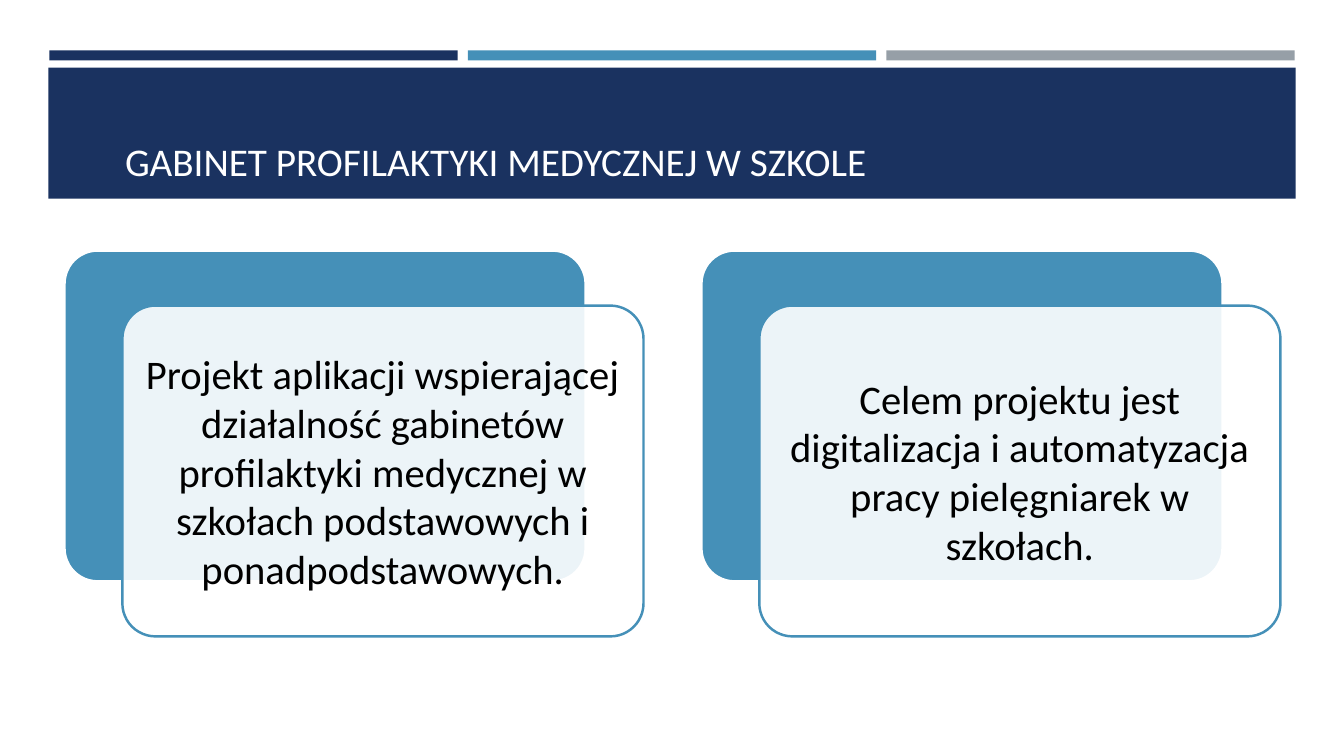
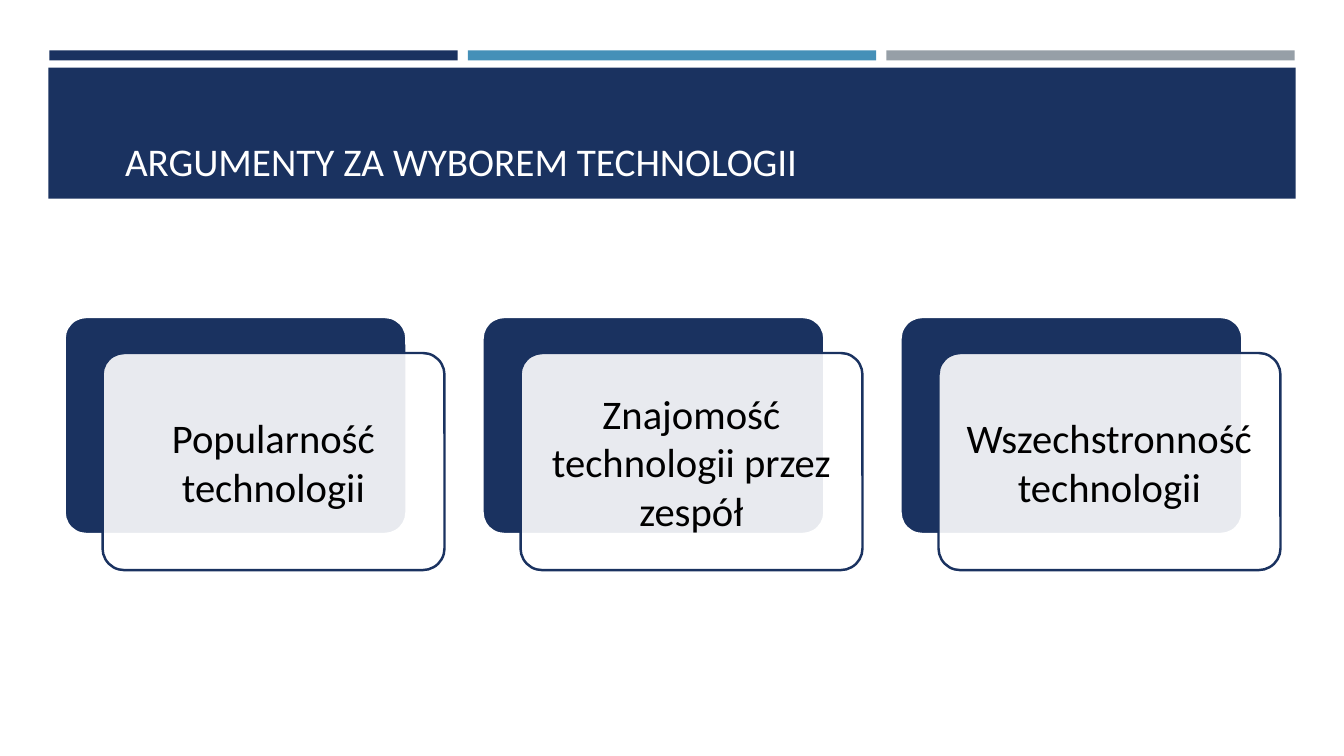
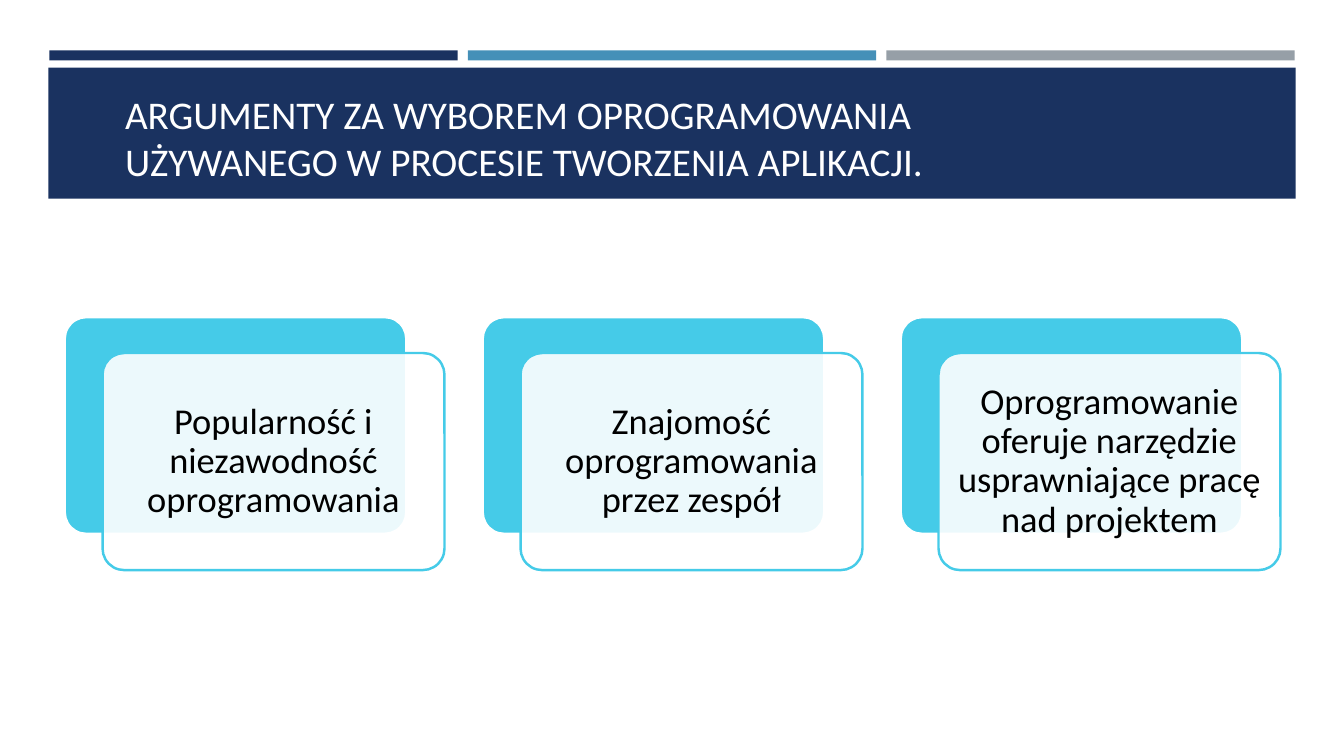
from lxml import etree
from pptx import Presentation
from pptx.dml.color import RGBColor
from pptx.enum import shapes, text
from pptx.oxml import ns
from pptx.util import Inches, Pt

NAVY = RGBColor(0x1A, 0x32, 0x60)
BLUE = RGBColor(0x45, 0x90, 0xB8)
GREY = RGBColor(0x96, 0x9F, 0xA7)
CYAN = RGBColor(0x45, 0xCB, 0xE8)
WHITE = RGBColor(0xFF, 0xFF, 0xFF)
BLACK = RGBColor(0, 0, 0)

FONT = "Calibri"
LEFT, WIDE = 0.64, 12.06
MID = 4.4  # vertical centre of every row of cards

DECK = [
    ("GABINET PROFILAKTYKI MEDYCZNEJ W SZKOLE", BLUE,
     {"size": 29, "lines": 1.0, "inset": 0.12, "edge": 1.75},
     ["Projekt aplikacji wspierającej działalność gabinetów profilaktyki "
      "medycznej w szkołach podstawowych i ponadpodstawowych.",
      "Celem projektu jest digitalizacja i automatyzacja pracy "
      "pielęgniarek w szkołach."]),
    ("ARGUMENTY ZA WYBOREM TECHNOLOGII", NAVY,
     {"size": 29, "lines": 1.0, "inset": 0.12, "edge": 1.75},
     ["Popularność technologii",
      "Znajomość technologii przez zespół",
      "Wszechstronność technologii"]),
    ("ARGUMENTY ZA WYBOREM OPROGRAMOWANIA\v"
     "UŻYWANEGO W PROCESIE TWORZENIA APLIKACJI.", CYAN,
     {"size": 26, "lines": 0.9, "inset": 0.11, "edge": 2},
     ["Popularność i niezawodność oprogramowania",
      "Znajomość oprogramowania przez zespół",
      "Oprogramowanie oferuje narzędzie usprawniające pracę nad projektem"]),
]


def put(obj, values):
    for name, value in values.items():
        setattr(obj, name, value)


def add_box(slide, kind, box, fill):
    shape = slide.shapes.add_shape(kind, *map(Inches, box))
    shape.shadow.inherit = False
    shape.fill.solid()
    shape.fill.fore_color.rgb = fill
    shape.line.fill.background()
    return shape


def set_text(frame, words, look, para, size, color):
    frame.text = words
    put(frame, look)
    put(frame.paragraphs[0], para)
    font = frame.paragraphs[0].font
    put(font, {"name": FONT, "size": Pt(size), "bold": False})
    font.color.rgb = color


def set_layout(layout, slide):
    """Draw the bars and band through a slide, then move them to its layout."""
    bars = [((0.49 + i * 4.15, 0.5, 4.05, 0.1), color)
            for i, color in enumerate((NAVY, BLUE, GREY))]
    band = ((0.48, 0.67, 12.37, 1.3), NAVY)
    for spot, (box, fill) in enumerate(bars + [band], 2):
        shape = add_box(slide, shapes.MSO_SHAPE.RECTANGLE, box, fill)
        layout.shapes.element.insert(spot, shape.element)
    title = layout.placeholders[0]
    put(title, {"left": Inches(LEFT), "top": Inches(0.77),
                "width": Inches(WIDE), "height": Inches(1.11)})


def add_title(slide, words):
    look = {"word_wrap": True, "auto_size": text.MSO_AUTO_SIZE.NONE,
            "vertical_anchor": text.MSO_ANCHOR.BOTTOM,
            "margin_left": Inches(0.6)}
    set_text(slide.shapes.title.text_frame, words, look,
             {"alignment": text.PP_ALIGN.LEFT}, 28, WHITE)


def add_card(slide, box, fill, edge, width):
    card = add_box(slide, shapes.MSO_SHAPE.ROUNDED_RECTANGLE, box, fill)
    card.adjustments[0] = 0.1
    card.line.color.rgb = edge
    card.line.width = Pt(width)
    return card


def add_row(slide, color, form, items):
    """Spread card pairs so that the step aside equals the gap between pairs."""
    step = WIDE / (11 * len(items) - 1)
    wide, high, drop = 9 * step, 5.715 * step, 0.95 * step
    top = MID - (high + drop) / 2
    inset = Inches(form["inset"])
    look = {"margin_" + side: inset
            for side in ("left", "right", "top", "bottom")}
    look.update(word_wrap=True, vertical_anchor=text.MSO_ANCHOR.MIDDLE)
    para = {"alignment": text.PP_ALIGN.CENTER, "line_spacing": form["lines"]}
    for i, words in enumerate(items):
        left = LEFT + i * 11 * step
        add_card(slide, (left, top, wide, high), color, WHITE, form["edge"])
        front = add_card(slide, (left + step, top + drop, wide, high),
                         WHITE, color, 1.75)
        tint = front.element.spPr.find(
            ns.qn("a:solidFill") + "/" + ns.qn("a:srgbClr"))
        etree.SubElement(tint, ns.qn("a:alpha"), val="90000")
        set_text(front.text_frame, words, look, para, form["size"], BLACK)


def main():
    prs = Presentation()
    put(prs, {"slide_width": Inches(13.33), "slide_height": Inches(7.5)})
    layout = prs.slide_layouts.get_by_name("Title Only")
    for i, (title, color, form, items) in enumerate(DECK):
        slide = prs.slides.add_slide(layout)
        if i == 0:
            set_layout(layout, slide)
        add_title(slide, title)
        add_row(slide, color, form, items)
    prs.save("out.pptx")


if __name__ == "__main__":
    main()
